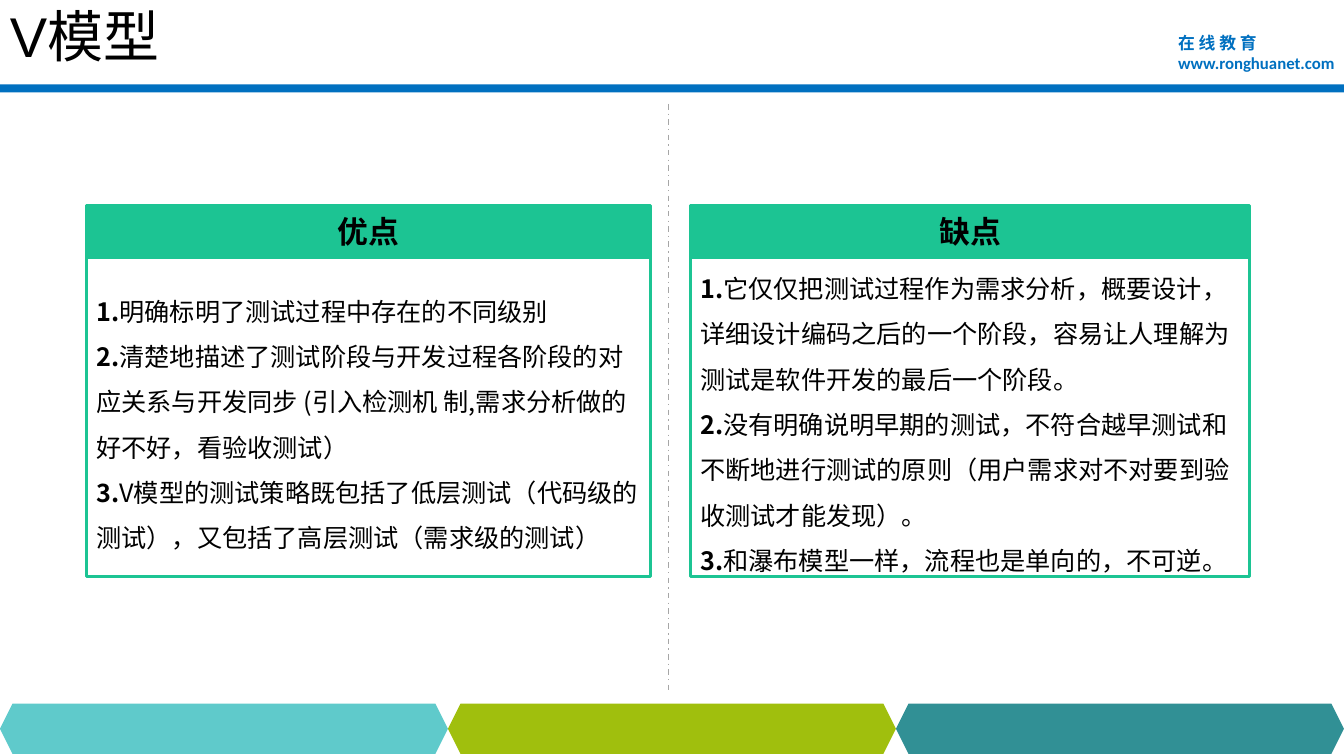
from lxml import etree
from pptx import Presentation
from pptx.dml.color import RGBColor
from pptx.enum.dml import MSO_LINE_DASH_STYLE as DASH
from pptx.enum.shapes import MSO_CONNECTOR, MSO_SHAPE
from pptx.enum.text import MSO_ANCHOR as ANCHOR, PP_ALIGN as ALIGN
from pptx.oxml.ns import qn
from pptx.util import Cm, Pt

SLIDE_W, SLIDE_H = 33.87, 19.05
HAN_FONT = "Noto Sans CJK SC"
BLACK = RGBColor(0x00, 0x00, 0x00)
BLUE = RGBColor(0x00, 0x70, 0xC0)
GREEN = RGBColor(0x1C, 0xC4, 0x93)
GREY = RGBColor(0xA6, 0xA6, 0xA6)
FOOTER_COLOURS = (
    RGBColor(0x5F, 0xCA, 0xCB),
    RGBColor(0xA0, 0xBF, 0x0D),
    RGBColor(0x31, 0x90, 0x95),
)

HEADER_TOP, HEADER_H, BODY_H = 5.18, 1.3, 8.05
CARDS = (
    (2.18, 14.22, "优点", (
        "明确标明了测试过程中存在的不同级别",
        "清楚地描述了测试阶段与开发过程各阶段的对应关系与开发同步 "
        "(引入检测机 制,需求分析做的好不好，看验收测试）",
        "V模型的测试策略既包括了低层测试（代码级的测试），"
        "又包括了高层测试（需求级的测试）",
    )),
    (17.4, 14.1, "缺点", (
        "它仅仅把测试过程作为需求分析，概要设计，详细设计编码之后的一个阶段，"
        "容易让人理解为测试是软件开发的最后一个阶段。",
        "没有明确说明早期的测试，不符合越早测试和不断地进行测试的原则"
        "（用户需求对不对要到验收测试才能发现）。",
        "和瀑布模型一样，流程也是单向的，不可逆。",
    )),
)


def style_run(run, size, colour=BLACK, bold=False, latin=HAN_FONT):
    run.font.size = Pt(size)
    run.font.bold = bold
    run.font.color.rgb = colour
    run.font.name = latin
    east_asian = etree.SubElement(run.font._element, qn("a:ea"))
    east_asian.set("typeface", HAN_FONT)


def add_block(slide, kind, left, top, width, height, fill=None, outline=None):
    block = slide.shapes.add_shape(kind, Cm(left), Cm(top), Cm(width), Cm(height))
    block.shadow.inherit = False
    if fill is None:
        block.fill.background()
    else:
        block.fill.solid()
        block.fill.fore_color.rgb = fill
    if outline is None:
        block.line.fill.background()
    else:
        block.line.color.rgb = outline
        block.line.width = Pt(2.25)
    return block


def add_label(slide, left, top, width, height, anchor):
    label = slide.shapes.add_textbox(Cm(left), Cm(top), Cm(width), Cm(height))
    frame = label.text_frame
    frame.word_wrap = True
    frame.vertical_anchor = anchor
    return frame


def add_contact(slide):
    contact = add_label(slide, 29.44, 0.69, 4.42, 1.27, ANCHOR.TOP)
    contact.margin_right = 0
    contact.text = "在 线 教 育\nwww.ronghuanet.com"
    for line, latin in zip(contact.paragraphs, (HAN_FONT, "Calibri")):
        style_run(line.runs[0], 12, BLUE, True, latin)


def add_title(slide, title):
    heading = add_label(slide, 0, 0, 25.4, 1.78, ANCHOR.MIDDLE)
    heading.text = title
    style_run(heading.paragraphs[0].runs[0], 40, latin="Arial")


def add_card(slide, left, width, heading, points):
    # Outlined body with numbered points
    body = add_block(slide, MSO_SHAPE.RECTANGLE, left, HEADER_TOP + HEADER_H,
                     width, BODY_H, outline=GREEN).text_frame
    body.word_wrap = True
    body.vertical_anchor = ANCHOR.MIDDLE
    for number, point in enumerate(points, 1):
        paragraph = body.paragraphs[0] if number == 1 else body.add_paragraph()
        paragraph.alignment = ALIGN.LEFT
        paragraph.line_spacing = 1.5
        for text, bold in ((f"{number}.", True), (point, False)):
            run = paragraph.add_run()
            run.text = text
            style_run(run, 18, bold=bold)

    # Filled header
    header = add_block(slide, MSO_SHAPE.RECTANGLE, left, HEADER_TOP,
                       width, HEADER_H, GREEN, GREEN).text_frame
    header.text = heading
    header.vertical_anchor = ANCHOR.MIDDLE
    header.paragraphs[0].alignment = ALIGN.CENTER
    style_run(header.paragraphs[0].runs[0], 22, bold=True)


def add_divider(slide, x, top, bottom):
    divider = slide.shapes.add_connector(
        MSO_CONNECTOR.STRAIGHT, Cm(x), Cm(top), Cm(x), Cm(bottom))
    divider.line.color.rgb = GREY
    divider.line.width = Pt(1)
    divider.line.dash_style = DASH.DASH_DOT
    etree.SubElement(divider._element.spPr, qn("a:effectLst"))


def main():
    deck = Presentation()
    deck.slide_width, deck.slide_height = Cm(SLIDE_W), Cm(SLIDE_H)
    slide = deck.slides.add_slide(deck.slide_layouts[6])

    # Page frame: top rule, contact lines, footer band
    add_block(slide, MSO_SHAPE.RECTANGLE, 0, 2.13, SLIDE_W, 0.2, BLUE)
    add_contact(slide)
    footer_w = SLIDE_W / len(FOOTER_COLOURS)
    for index, colour in enumerate(FOOTER_COLOURS):
        add_block(slide, MSO_SHAPE.HEXAGON, index * footer_w, 17.73,
                  footer_w, 1.27, colour)

    # Content: title, two cards, divider
    add_title(slide, "V模型")
    for card in CARDS:
        add_card(slide, *card)
    add_divider(slide, 16.84, 2.62, 17.42)

    deck.save("out.pptx")


if __name__ == "__main__":
    main()
